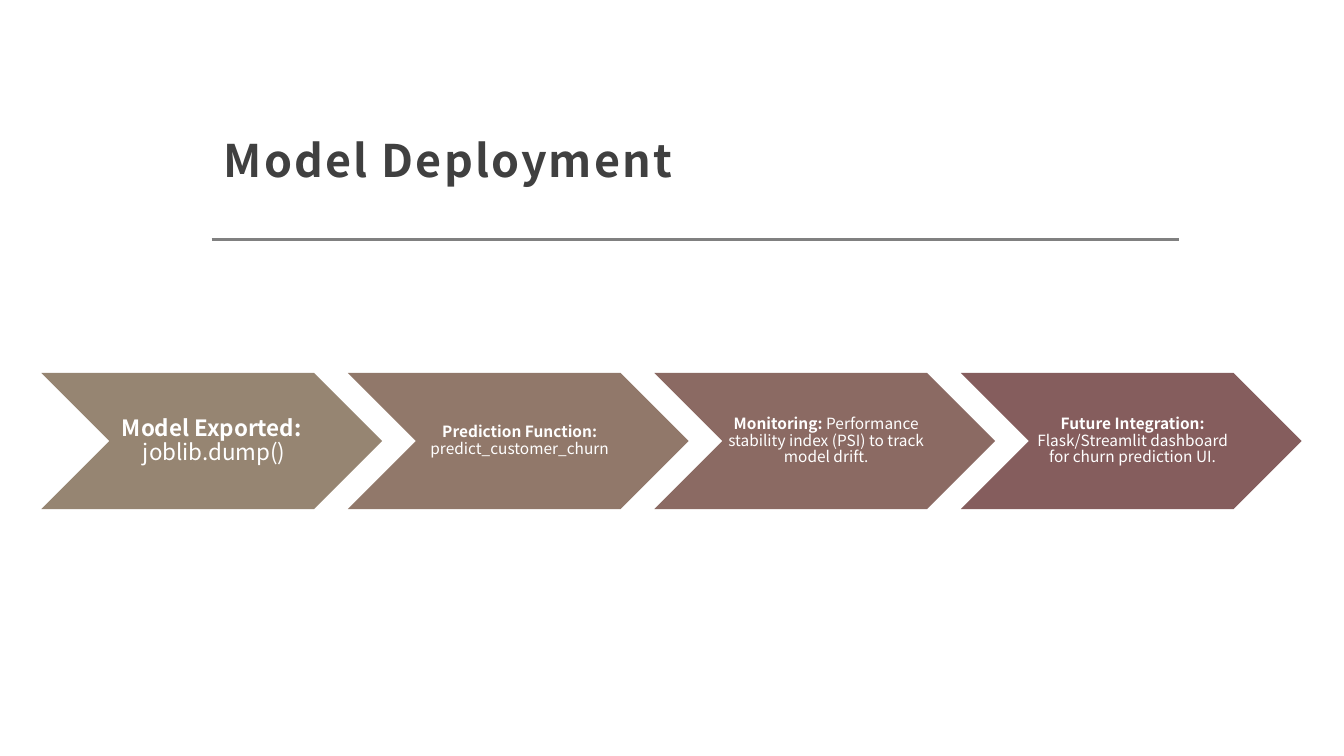
from pptx import Presentation
from pptx.dml.color import RGBColor
from pptx.enum.shapes import MSO_CONNECTOR, MSO_SHAPE
from pptx.enum.text import MSO_ANCHOR, PP_ALIGN
from pptx.oxml.ns import qn
from pptx.util import Pt
from lxml.etree import SubElement

PX = 9144  # 100 px to the inch
FONT = "Noto Sans CJK JP"
COLORS = {"title": "404040", "rule": "808080", "label": "FFFFFF"}
STEPS = [
    ("Model Exported:  ", "joblib.dump()", 16, 7, "968572"),
    ("Prediction Function:", " predict_customer_churn", 11, 5, "91786A"),
    ("Monitoring:", " Performance stability index (PSI) to track model drift.",
     11, 5, "8B6A63"),
    ("Future Integration:",
     " Flask/Streamlit dashboard for churn prediction UI.", 11, 5, "855D5D"),
]


def px(*nums):
    return [n * PX for n in nums]


def rgb(code):
    return RGBColor.from_string(code)


def add_text(slide, box, runs, size, color, insets, anchor, align, space):
    """Add one paragraph made of (text, bold) runs."""
    frame = slide.shapes.add_textbox(*px(*box)).text_frame
    frame.word_wrap = True
    frame.vertical_anchor = anchor
    (frame.margin_left, frame.margin_top,
     frame.margin_right, frame.margin_bottom) = px(*insets)
    para = frame.paragraphs[0]
    para.alignment = align
    para.line_spacing = space
    for text, bold in runs:
        run = para.add_run()
        run.text = text
        font = run.font
        font.name, font.size, font.bold = FONT, Pt(size), bold
        font.color.rgb = rgb(color)
    return para


def add_head(slide, left, top, width, height):
    # Title
    para = add_text(slide, (left, top, width, height - 43),
                    [("Model Deployment", True)], 32, COLORS["title"],
                    (12, 12, 12, 10), MSO_ANCHOR.BOTTOM, PP_ALIGN.LEFT, 1.3)
    para.runs[0].font._element.set("spc", "150")
    # Rule along the bottom of the box
    base = top + height
    rule = slide.shapes.add_connector(
        MSO_CONNECTOR.STRAIGHT, *px(left, base, left + width, base))
    rule.line.color.rgb = rgb(COLORS["rule"])
    rule.line.width = Pt(2)
    SubElement(rule._element.spPr, qn("a:effectLst"))


def add_steps(slide, left, top, width, height):
    # Each chevron overlaps the next by a tenth of its width
    wide = round(width / (1 + 0.9 * (len(STEPS) - 1)))
    pitch = round(wide * 0.9)
    notch = round(height / 2)
    for i, (name, note, size, inset, fill) in enumerate(STEPS):
        x = left + i * pitch
        arrow = slide.shapes.add_shape(
            MSO_SHAPE.CHEVRON, *px(x, top, wide, height))
        arrow.shadow.inherit = False
        arrow.fill.solid()
        arrow.fill.fore_color.rgb = rgb(fill)
        arrow.line.fill.background()
        # Label between the notch and the point
        add_text(slide, (x + notch, top, wide - 2 * notch, height),
                 [(name, True), (note, False)], size, COLORS["label"],
                 (inset, 2, 2, 2), MSO_ANCHOR.MIDDLE, PP_ALIGN.CENTER, 0.9)


def main():
    deck = Presentation()
    deck.slide_width, deck.slide_height = px(1333, 750)
    slide = deck.slides.add_slide(deck.slide_layouts[6])
    add_head(slide, 210, 48, 959, 190)
    add_steps(slide, 41, 370, 1250, 135)
    deck.save("out.pptx")


if __name__ == "__main__":
    main()
